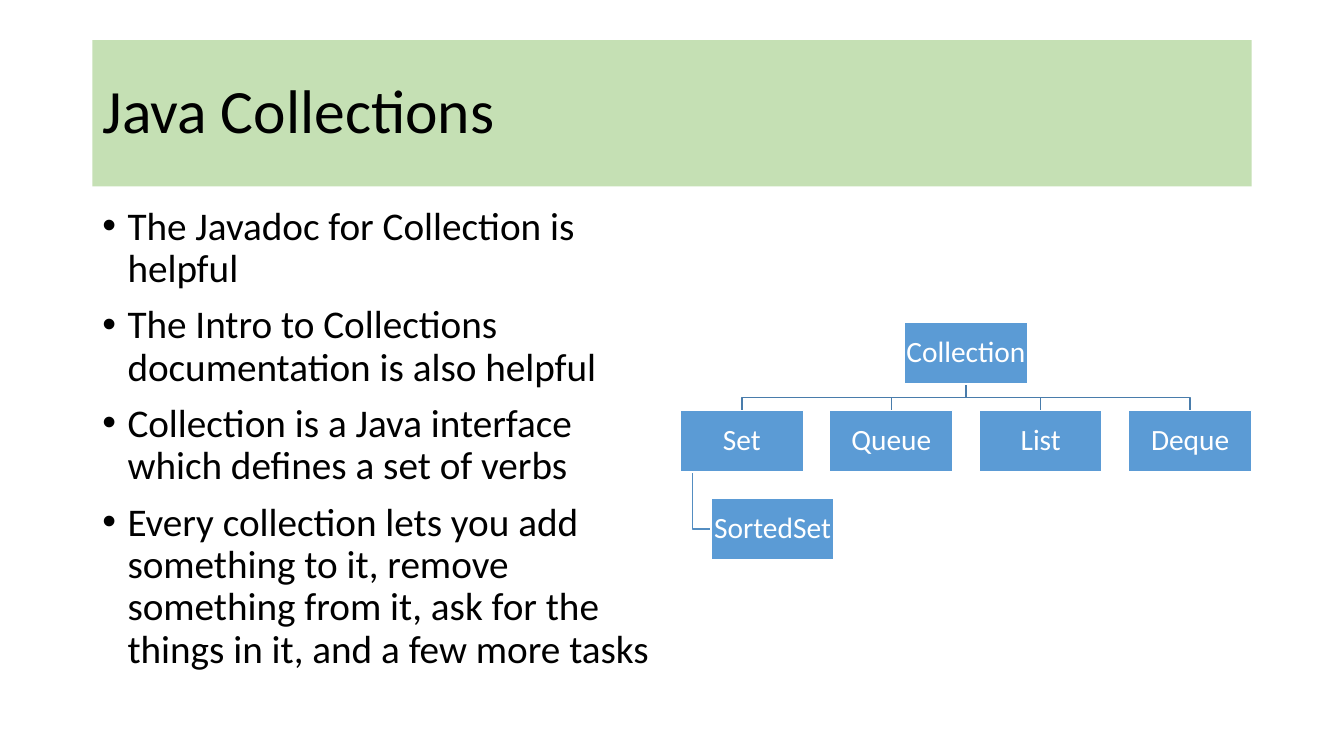
from lxml import etree
from pptx import Presentation
from pptx.dml.color import RGBColor
from pptx.enum import shapes, text
from pptx.oxml import ns
from pptx.util import Pt

BLACK = RGBColor(0x00, 0x00, 0x00)
WHITE = RGBColor(0xFF, 0xFF, 0xFF)
PALE_GREEN = RGBColor(0xC5, 0xE0, 0xB4)
NODE_BLUE = RGBColor(0x5B, 0x9B, 0xD5)
BRANCH_BLUE = RGBColor(0x49, 0x7C, 0xAB)
SUBBRANCH_BLUE = RGBColor(0x53, 0x8D, 0xC1)

POINTS = [
    "The Javadoc for Collection is helpful",
    "The Intro to Collections documentation is also helpful",
    "Collection is a Java interface which defines a set of verbs",
    "Every collection lets you add something to it, remove something from it, "
    "ask for the things in it, and a few more tasks",
]
SUBTYPES = ["Set", "Queue", "List", "Deque"]
NODE_WIDTH, NODE_HEIGHT, ROW_STEP = 87.8, 43.9, 62.7


def style_paragraph(paragraph, size, color, align):
    paragraph.alignment = align
    paragraph.line_spacing = 0.9
    paragraph.font.name = "Calibri"
    paragraph.font.size = Pt(size)
    paragraph.font.color.rgb = color


def add_heading(slide, left, top, width, height):
    heading = slide.shapes.title
    heading.left, heading.top = Pt(left), Pt(top)
    heading.width, heading.height = Pt(width), Pt(height)
    heading.fill.solid()
    heading.fill.fore_color.rgb = PALE_GREEN
    frame = heading.text_frame
    frame.vertical_anchor = text.MSO_ANCHOR.MIDDLE
    frame.text = "Java Collections"
    style_paragraph(frame.paragraphs[0], 44, BLACK, text.PP_ALIGN.LEFT)


def add_points(slide, left, top, width, height):
    frame = slide.shapes.add_textbox(Pt(left), Pt(top), Pt(width), Pt(height)).text_frame
    frame.word_wrap = True
    for index, point in enumerate(POINTS):
        paragraph = frame.add_paragraph() if index else frame.paragraphs[0]
        paragraph.text = point
        properties = paragraph._p.get_or_add_pPr()
        properties.set("marL", str(Pt(18)))
        properties.set("indent", str(Pt(-18)))
        etree.SubElement(properties, ns.qn("a:buFont")).set("typeface", "Arial")
        etree.SubElement(properties, ns.qn("a:buChar")).set("char", "•")
        paragraph.space_before = Pt(10 if index else 0)
        style_paragraph(paragraph, 28, BLACK, text.PP_ALIGN.LEFT)


def add_branch(slide, color, start, *corners):
    builder = slide.shapes.build_freeform(Pt(start[0]), Pt(start[1]))
    builder.add_line_segments([(Pt(x), Pt(y)) for x, y in corners], close=False)
    branch = builder.convert_to_shape()
    branch.shadow.inherit = False
    branch.fill.background()
    branch.line.color.rgb = color
    branch.line.width = Pt(1)


def add_node(slide, name, left, top):
    node = slide.shapes.add_shape(
        shapes.MSO_SHAPE.RECTANGLE, Pt(left), Pt(top), Pt(NODE_WIDTH), Pt(NODE_HEIGHT))
    node.shadow.inherit = False
    node.fill.solid()
    node.fill.fore_color.rgb = NODE_BLUE
    node.line.color.rgb = WHITE
    node.line.width = Pt(1)
    frame = node.text_frame
    frame.margin_left = frame.margin_right = Pt(0.9)
    frame.margin_top = frame.margin_bottom = Pt(0.9)
    frame.vertical_anchor = text.MSO_ANCHOR.MIDDLE
    frame.word_wrap = True
    frame.text = name
    style_paragraph(frame.paragraphs[0], 21, WHITE, text.PP_ALIGN.CENTER)


def add_hierarchy(slide, left, top, width):
    center = left + width / 2
    step = (width - NODE_WIDTH) / (len(SUBTYPES) - 1)
    root_bottom = top + NODE_HEIGHT
    subtype_top = top + ROW_STEP
    sorted_top = top + 2 * ROW_STEP
    sorted_left = left + NODE_WIDTH / 4
    sorted_middle = sorted_top + NODE_HEIGHT / 2
    trunk = left + NODE_WIDTH / 10
    bend = (root_bottom + subtype_top) / 2
    subtype_lefts = [left + index * step for index in range(len(SUBTYPES))]

    for subtype_left in subtype_lefts:
        middle = subtype_left + NODE_WIDTH / 2
        add_branch(slide, BRANCH_BLUE, (center, root_bottom),
                   (center, bend), (middle, bend), (middle, subtype_top))
    add_branch(slide, SUBBRANCH_BLUE, (trunk, subtype_top + NODE_HEIGHT),
               (trunk, sorted_middle), (sorted_left, sorted_middle))

    add_node(slide, "Collection", center - NODE_WIDTH / 2, top)
    for subtype, subtype_left in zip(SUBTYPES, subtype_lefts):
        add_node(slide, subtype, subtype_left, subtype_top)
    add_node(slide, "SortedSet", sorted_left, sorted_top)


def main():
    deck = Presentation()
    deck.slide_width, deck.slide_height = Pt(960), Pt(540)
    slide = deck.slides.add_slide(deck.slide_layouts[5])
    add_heading(slide, 66, 28.75, 828, 104.4)
    add_points(slide, 66, 143.75, 408, 342.6)
    add_hierarchy(slide, 486, 230.5, 408)
    deck.save("out.pptx")


if __name__ == "__main__":
    main()
